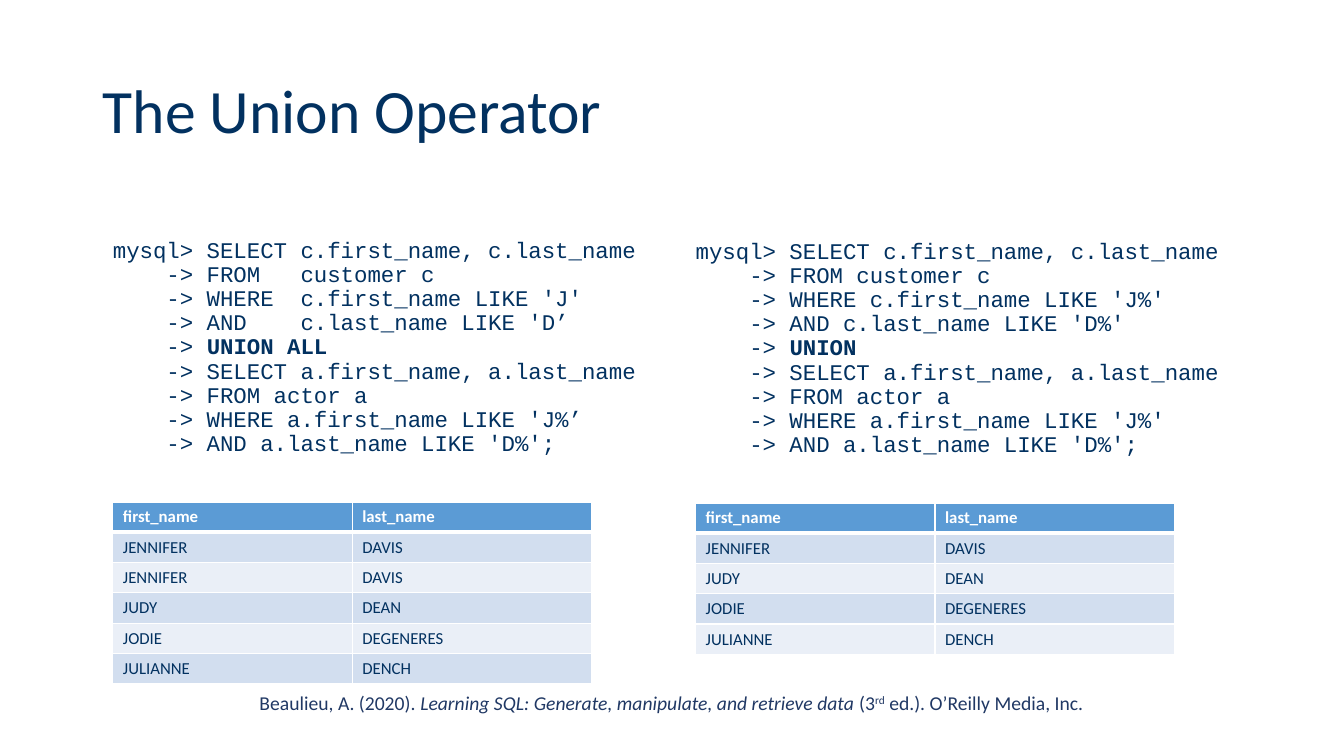
from dataclasses import dataclass

from lxml.etree import SubElement
from pptx import Presentation
from pptx.dml.color import RGBColor
from pptx.enum.text import MSO_ANCHOR, MSO_AUTO_SIZE, PP_ALIGN
from pptx.oxml.ns import qn
from pptx.util import Inches, Pt

TITLE = "The Union Operator"
HEADER = ("first_name", "last_name")
QUERIES = [
    {
        "before": [
            "mysql> SELECT c.first_name, c.last_name",
            "    -> FROM   customer c",
            "    -> WHERE  c.first_name LIKE 'J'",
            "    -> AND    c.last_name LIKE 'D’",
        ],
        "operator": "UNION ALL",
        "after": [
            "    -> SELECT a.first_name, a.last_name",
            "    -> FROM actor a",
            "    -> WHERE a.first_name LIKE 'J%’",
            "    -> AND a.last_name LIKE 'D%';",
        ],
        "result": [("JENNIFER", "DAVIS"), ("JENNIFER", "DAVIS"), ("JUDY", "DEAN"),
                   ("JODIE", "DEGENERES"), ("JULIANNE", "DENCH")],
    },
    {
        "before": [
            "mysql> SELECT c.first_name, c.last_name",
            "    -> FROM customer c",
            "    -> WHERE c.first_name LIKE 'J%'",
            "    -> AND c.last_name LIKE 'D%'",
        ],
        "operator": "UNION",
        "after": [
            "    -> SELECT a.first_name, a.last_name",
            "    -> FROM actor a",
            "    -> WHERE a.first_name LIKE 'J%'",
            "    -> AND a.last_name LIKE 'D%';",
        ],
        "result": [("JENNIFER", "DAVIS"), ("JUDY", "DEAN"),
                   ("JODIE", "DEGENERES"), ("JULIANNE", "DENCH")],
    },
]
CITATION = [
    ("Beaulieu, A. (2020). ", None),
    ("Learning SQL: Generate, manipulate, and retrieve data", "italic"),
    (" (3", None),
    ("rd", "superscript"),
    (" ed.). O’Reilly Media, Inc.", None),
]


@dataclass(frozen=True)
class Theme:
    text_font: str = "Calibri"
    code_font: str = "Courier New"
    ink: str = "023160"
    citation: str = "203864"
    white: str = "FFFFFF"
    header: str = "5B9BD5"
    bands: tuple = ("D2DEEF", "EAEFF7")
    title_size: int = 44
    code_size: int = 16
    citation_size: int = 14
    table_size: int = 12


theme = Theme()
WIDTH, HEIGHT = Inches(13.33), Inches(7.5)
TITLE_AREA = (6.9, 5.33, 86.27, 19.33)
CITATION_AREA = (18.23, 90.67, 63.47, 4.53)
CODE_AREA = (7.65, 30.93, 41.26, 34.67)
TABLE_LEFT, TABLE_TOP, TABLE_WIDTH = 8.4, 66.4, 35.63
ROW_HEIGHT = 4
COLUMN_STEP, COLUMN_DROP = 43.36, 0.13


def area(left, top, width, height):
    return (int(WIDTH * left / 100), int(HEIGHT * top / 100),
            int(WIDTH * width / 100), int(HEIGHT * height / 100))


def place(shape, shares):
    shape.left, shape.top, shape.width, shape.height = area(*shares)


def add_span(para, text, font, size, color, bold=False):
    span = para.add_run()
    span.text = text
    span.font.name = font
    span.font.size = Pt(size)
    span.font.bold = bold
    span.font.color.rgb = RGBColor.from_string(color)
    return span


def add_title(page):
    box = page.shapes.title
    place(box, TITLE_AREA)
    box.text_frame.vertical_anchor = MSO_ANCHOR.MIDDLE
    box.text_frame.auto_size = MSO_AUTO_SIZE.NONE
    para = box.text_frame.paragraphs[0]
    para.alignment = PP_ALIGN.LEFT
    para.line_spacing = 0.9
    add_span(para, TITLE, theme.text_font, theme.title_size, theme.ink)


def add_code(box, query, shares):
    place(box, shares)
    box.text_frame.auto_size = MSO_AUTO_SIZE.NONE
    box.text_frame.vertical_anchor = MSO_ANCHOR.TOP
    para = box.text_frame.paragraphs[0]
    properties = para._p.get_or_add_pPr()
    properties.set("marL", "0")
    properties.set("indent", "0")
    SubElement(properties, qn("a:buNone"))
    para.alignment = PP_ALIGN.LEFT
    para.line_spacing = 0.9
    para.space_before = Pt(0)
    style = (theme.code_font, theme.code_size, theme.ink)
    for line in query["before"]:
        add_span(para, line, *style)
        para.add_line_break()
    add_span(para, "    -> ", *style)
    add_span(para, query["operator"], *style, bold=True)
    for line in query["after"]:
        para.add_line_break()
        add_span(para, line, *style)


def set_borders(cell, bottom):
    properties = cell._tc.get_or_add_tcPr()
    for position, (side, points) in enumerate(
            (("lnL", 1), ("lnR", 1), ("lnT", 1), ("lnB", bottom))):
        line = SubElement(properties, qn(f"a:{side}"), w=str(Pt(points)))
        fill = SubElement(line, qn("a:solidFill"))
        SubElement(fill, qn("a:srgbClr"), val=theme.white)
        properties.insert(position, line)


def add_result(page, result, left, top):
    rows = [HEADER, *result]
    frame = page.shapes.add_table(
        len(rows), len(HEADER), *area(left, top, TABLE_WIDTH, ROW_HEIGHT * len(rows)))
    for row_index, row in enumerate(rows):
        is_header = row_index == 0
        fill = theme.header if is_header else theme.bands[(row_index - 1) % 2]
        color = theme.white if is_header else theme.ink
        header_line = 3 if row_index <= 1 else 1
        for column_index, text in enumerate(row):
            cell = frame.table.cell(row_index, column_index)
            cell.fill.solid()
            cell.fill.fore_color.rgb = RGBColor.from_string(fill)
            set_borders(cell, header_line if is_header else 1)
            add_span(cell.text_frame.paragraphs[0], text, theme.text_font,
                     theme.table_size, color, is_header)


def add_citation(page):
    box = page.shapes.add_textbox(*area(*CITATION_AREA))
    box.text_frame.word_wrap = True
    para = box.text_frame.paragraphs[0]
    para.alignment = PP_ALIGN.CENTER
    for text, style in CITATION:
        span = add_span(para, text, theme.text_font, theme.citation_size, theme.citation)
        span.font.italic = style == "italic"
        if style == "superscript":
            span.font._element.set("baseline", "30000")


def main():
    deck = Presentation()
    deck.slide_width, deck.slide_height = WIDTH, HEIGHT
    page = deck.slides.add_slide(deck.slide_layouts.get_by_name("Two Content"))
    add_title(page)
    add_citation(page)
    code_left, code_top, code_width, code_height = CODE_AREA
    for column, query in enumerate(QUERIES):
        across, down = column * COLUMN_STEP, column * COLUMN_DROP
        add_code(page.placeholders[column + 1], query,
                 (code_left + across, code_top + down, code_width, code_height))
        add_result(page, query["result"], TABLE_LEFT + across, TABLE_TOP + down)
    deck.save("out.pptx")


if __name__ == "__main__":
    main()
